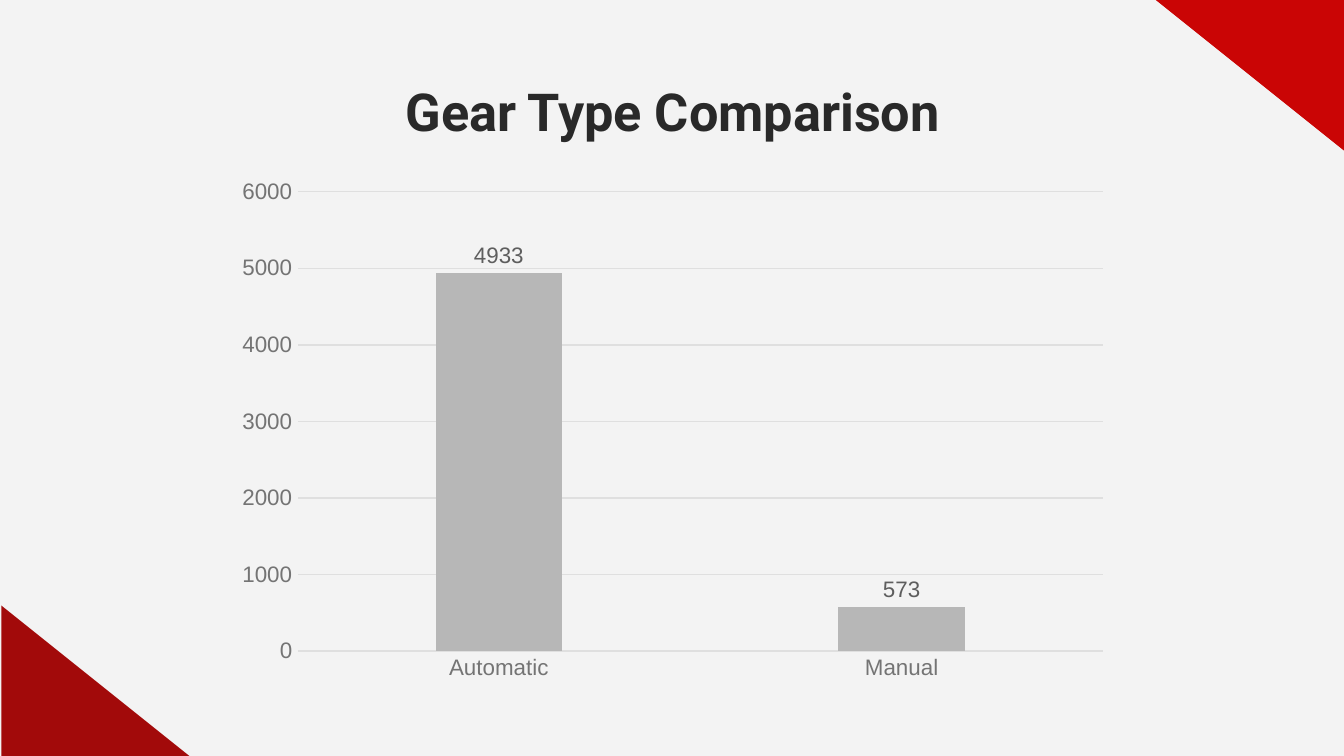
from pptx import Presentation
from pptx.chart import data as cd
from pptx.dml.color import RGBColor
from pptx.enum import chart as ch
from pptx.enum import text as tx
from pptx.util import Inches, Pt

HUES = {
    "back": "F3F3F3", "dark": "A20A0A", "red": "CA0505", "ink": "292929",
    "axis": "747474", "grid": "DFDFDF", "bar": "B7B7B7", "label": "5E5E5E",
}
WIDE = 10
HIGH = WIDE * 9 / 16


def hue(name):
    """Return a named colour."""
    return RGBColor.from_string(HUES[name])


def paint(fill, name):
    """Make a fill solid in a named colour."""
    fill.solid()
    fill.fore_color.rgb = hue(name)


def style(font, size, name, face="Arial"):
    """Set the size, colour and face of a font."""
    font.size = Pt(size)
    font.color.rgb = hue(name)
    font.name = face


def rule(line):
    """Draw a thin pale chart line."""
    line.color.rgb = hue("grid")
    line.width = Pt(0.75)


def add_corner(slide, points, name):
    """Add a filled triangle in a slide corner."""
    first, *rest = [(Inches(x), Inches(y)) for x, y in points]
    form = slide.shapes.build_freeform(*first)
    form.add_line_segments(rest, close=True)
    shape = form.convert_to_shape()
    shape.shadow.inherit = False
    paint(shape.fill, name)
    shape.line.fill.background()


def set_title(slide, words):
    """Place and format the slide title."""
    title = slide.shapes.title
    title.left, title.top = Inches(0.79), Inches(0.49)
    title.width, title.height = Inches(8.43), Inches(0.63)
    frame = title.text_frame
    frame.text = words
    frame.word_wrap = True
    frame.auto_size = tx.MSO_AUTO_SIZE.NONE
    frame.vertical_anchor = tx.MSO_ANCHOR.TOP
    frame.margin_left = frame.margin_right = Inches(0.1)
    frame.margin_top = frame.margin_bottom = Inches(0.1)
    para = frame.paragraphs[0]
    para.alignment = tx.PP_ALIGN.CENTER
    font = para.runs[0].font
    style(font, 28, "ink", "Roboto")
    font.bold = True


def set_axis(axis):
    """Format the text and ticks of an axis."""
    axis.major_tick_mark = axis.minor_tick_mark = ch.XL_TICK_MARK.NONE
    style(axis.tick_labels.font, 12, "axis")


def add_bars(slide, counts):
    """Add the column chart of counts."""
    data = cd.CategoryChartData()
    data.categories = list(counts)
    data.add_series("Series 1", list(counts.values()))
    chart = slide.shapes.add_chart(
        ch.XL_CHART_TYPE.COLUMN_CLUSTERED, Inches(1.67), Inches(1.26),
        Inches(6.67), Inches(3.88), data).chart
    chart.has_legend = chart.has_title = False
    style(chart.font, 10, "ink")

    cats, vals = chart.category_axis, chart.value_axis
    for axis in (cats, vals):
        set_axis(axis)
    rule(cats.format.line)
    vals.format.line.fill.background()
    vals.minimum_scale, vals.maximum_scale = 0, 6000
    vals.major_unit = 1000
    vals.has_major_gridlines = True
    rule(vals.major_gridlines.format.line)

    plot = chart.plots[0]
    plot.gap_width, plot.overlap = 219, -27
    plot.vary_by_categories = False
    bars = plot.series[0]
    paint(bars.format.fill, "bar")
    labels = bars.data_labels
    labels.show_value = True
    labels.position = ch.XL_LABEL_POSITION.OUTSIDE_END
    style(labels.font, 12, "label")


def main():
    """Build and save the slide."""
    deck = Presentation()
    deck.slide_width, deck.slide_height = Inches(WIDE), Inches(HIGH)
    slide = deck.slides.add_slide(deck.slide_layouts[5])
    paint(slide.background.fill, "back")
    wide, high = 1.4, 1.12
    add_corner(slide, [(0.01, HIGH - high), (0.01, HIGH), (wide + 0.01, HIGH)], "dark")
    add_corner(slide, [(WIDE, high), (WIDE, 0), (WIDE - wide, 0)], "red")
    set_title(slide, "Gear Type Comparison")
    add_bars(slide, {"Automatic": 4933, "Manual": 573})
    deck.save("out.pptx")


if __name__ == "__main__":
    main()
